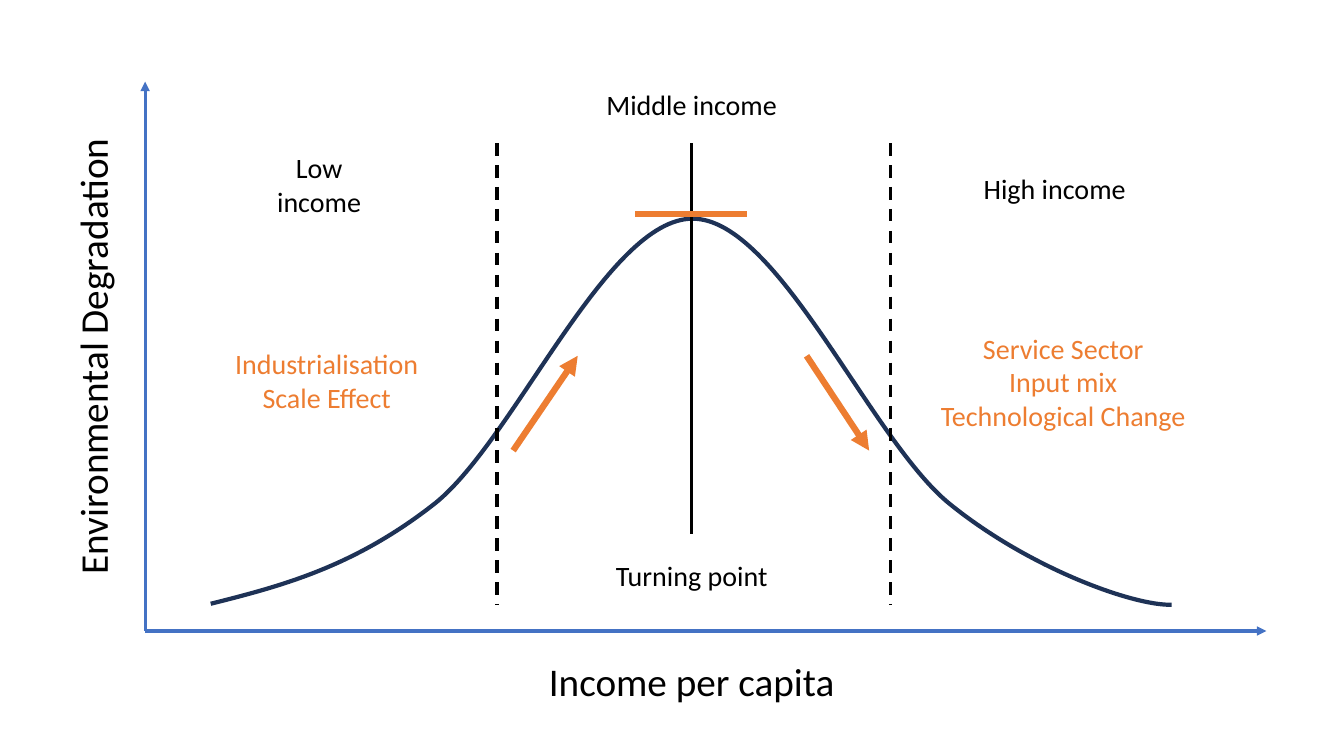
import lxml.etree
import pptx
import pptx.util
import pptx.dml.color
import pptx.enum.dml
import pptx.enum.shapes
import pptx.enum.text
import pptx.oxml.ns
from collections import namedtuple

Box = namedtuple("Box", "left top width height")
BLACK, BLUE, NAVY, ORANGE = "000000", "4472C4", "1E3256", "ED7D31"
LINE_WIDTH, ARROW_WIDTH = 2.25, 4.5
MIDDLE = 48.74  # turning point, percent of the plot width
DIVIDER_TOP, DIVIDER_BOTTOM = 11.19, 95.23
# Start point, then two control points and an end point for each curve section
CURVE = [(5.85, 95.05),
         (12.32, 91.74), (18.71, 88.26), (25.9, 76.7),
         (33, 64.95), (41.19, 24.95), (48.83, 24.95),
         (56.47, 24.95), (64.66, 65.14), (71.76, 76.88),
         (78.87, 88.62), (88.13, 95.41), (91.55, 95.23)]


def colour(value):
    """Turn a hex string into a colour."""
    return pptx.dml.color.RGBColor.from_string(value)


def place(box, point):
    """Turn a point in percent of the box into slide units."""
    x, y = point
    return (round(box.left + box.width * x / 100),
            round(box.top + box.height * y / 100))


def add_line(slide, box, start, end, line_colour, width=LINE_WIDTH,
             arrow=False, dashed=False):
    """Draw a straight line between two points of the box."""
    connector = slide.shapes.add_connector(
        pptx.enum.shapes.MSO_CONNECTOR.STRAIGHT,
        *place(box, start), *place(box, end))
    connector.line.color.rgb = colour(line_colour)
    connector.line.width = pptx.util.Pt(width)
    if dashed:
        connector.line.dash_style = pptx.enum.dml.MSO_LINE.DASH
    properties = connector._element.spPr
    if arrow:
        outline = properties.find(pptx.oxml.ns.qn("a:ln"))
        lxml.etree.SubElement(outline, pptx.oxml.ns.qn("a:tailEnd"), type="triangle")
    lxml.etree.SubElement(properties, pptx.oxml.ns.qn("a:effectLst"))


def add_label(slide, box, centre, lines, text_colour=BLACK, size=20, rotation=0):
    """Write centred lines of text around a point of the box."""
    x, y = place(box, centre)
    width = pptx.util.Pt(size * max(map(len, lines)) * 0.55)
    height = pptx.util.Pt(size * 1.22 * len(lines) + 7.2)
    shape = slide.shapes.add_textbox(x - width // 2, y - height // 2, width, height)
    shape.rotation = rotation
    frame = shape.text_frame
    frame.word_wrap = False
    frame.vertical_anchor = pptx.enum.text.MSO_ANCHOR.MIDDLE
    frame.text = "\n".join(lines)
    for paragraph in frame.paragraphs:
        paragraph.alignment = pptx.enum.text.PP_ALIGN.CENTER
        paragraph.font.name = "Calibri"
        paragraph.font.size = pptx.util.Pt(size)
        paragraph.font.color.rgb = colour(text_colour)


def add_curve(slide, box):
    """Draw the bell-shaped curve as cubic sections."""
    points = [place(box, point) for point in CURVE]
    builder = slide.shapes.build_freeform(*points[0])
    builder.add_line_segments(points[1:], close=False)
    shape = builder.convert_to_shape()
    shape.shadow.inherit = False
    shape.fill.background()
    shape.line.color.rgb = colour(NAVY)
    shape.line.width = pptx.util.Pt(3)
    segments = list(shape._element.iter(pptx.oxml.ns.qn("a:lnTo")))
    outline = segments[0].getparent()
    for index in range(0, len(segments), 3):
        section = lxml.etree.SubElement(outline, pptx.oxml.ns.qn("a:cubicBezTo"))
        for segment in segments[index:index + 3]:
            section.append(segment[0])
            outline.remove(segment)


def add_axes(slide, box):
    """Draw both axes with their titles."""
    for end in ((0, 0), (100, 100)):
        add_line(slide, box, (0, 100), end, BLUE, arrow=True)
    add_label(slide, box, (-4.72, 50), ["Environmental Degradation"],
              size=28, rotation=270)
    add_label(slide, box, (MIDDLE, 109.08), ["Income per capita"], size=28)


def add_stages(slide, box):
    """Separate and name the income stages."""
    for x in (31.38, 66.46):
        add_line(slide, box, (x, DIVIDER_TOP), (x, DIVIDER_BOTTOM), BLACK, dashed=True)
    add_line(slide, box, (MIDDLE, DIVIDER_TOP), (MIDDLE, 82.39), BLACK)
    for centre, text in (((15.51, 18.72), "Low income"),
                         ((MIDDLE, 4.04), "Middle income"),
                         ((81.12, 19.45), "High income"),
                         ((MIDDLE, 89.91), "Turning point")):
        add_label(slide, box, centre, [text])


def add_effects(slide, box):
    """Mark the rise, the peak and the fall, and name their causes."""
    add_line(slide, box, (32.82, 67.16), (38.58, 49.91), ORANGE, ARROW_WIDTH, arrow=True)
    add_line(slide, box, (58.99, 49.91), (64.57, 67.16), ORANGE, ARROW_WIDTH, arrow=True)
    add_line(slide, box, (43.71, 24.04), (53.69, 24.04), ORANGE, ARROW_WIDTH)
    add_label(slide, box, (16.19, 54.4),
              ["Industrialisation", "Scale Effect"], ORANGE)
    add_label(slide, box, (81.88, 54.59),
              ["Service Sector", "Input mix", "Technological Change"], ORANGE)


def main():
    """Build the slide and save it."""
    presentation = pptx.Presentation()
    presentation.slide_width = pptx.util.Inches(13.33)
    presentation.slide_height = pptx.util.Inches(7.5)
    slide = presentation.slides.add_slide(presentation.slide_layouts[6])
    plot = Box(*map(pptx.util.Inches, (1.44, 0.81, 11.12, 5.45)))
    for add_region in (add_curve, add_axes, add_stages, add_effects):
        add_region(slide, plot)
    presentation.save("out.pptx")


main()
